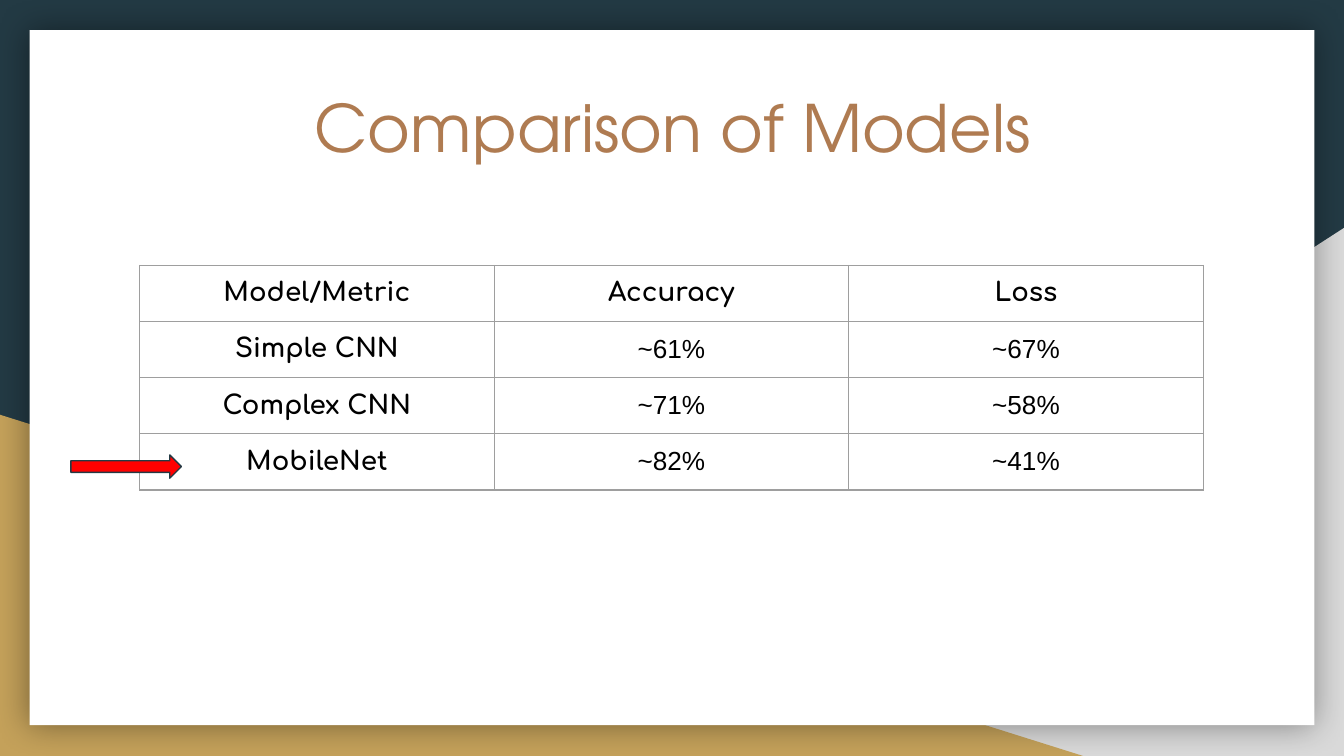
from lxml import etree
from pptx import Presentation
from pptx.dml.color import RGBColor
from pptx.enum.shapes import MSO_SHAPE
from pptx.enum.text import MSO_ANCHOR, PP_ALIGN
from pptx.oxml.ns import qn
from pptx.util import Cm, Pt

RECTANGLE = MSO_SHAPE.RECTANGLE
RIGHT_TRIANGLE = MSO_SHAPE.RIGHT_TRIANGLE
RIGHT_ARROW = MSO_SHAPE.RIGHT_ARROW
TOP = MSO_ANCHOR.TOP
CENTER = PP_ALIGN.CENTER

COLORS = {
    "navy": "233A44",
    "grey": "D9D9D9",
    "gold": "C4A15A",
    "card": "FFFFFF",
    "title": "AF7B51",
    "text": "000000",
    "border": "9E9E9E",
    "highlight": "FF0000",
}
TITLE_FONT = "TeX Gyre Adventor"
LABEL_FONT = "Comfortaa"
VALUE_FONT = "Arial"
TITLE_ONLY_LAYOUT = 5
INSET = Cm(0.25)

SLIDE_WIDTH, SLIDE_HEIGHT = Cm(25.4), Cm(14.29)
GREY_WEDGE_BOX = (Cm(9.96), Cm(4.31), Cm(15.44), Cm(9.98))
GOLD_WEDGE_BOX = (Cm(0), Cm(7.84), Cm(20.47), Cm(6.45))
CARD_BOX = (Cm(0.56), Cm(0.57), Cm(24.28), Cm(13.14))
TITLE_BOX = (Cm(2.29), Cm(1.4), Cm(20.85), Cm(2.64))
TABLE_BOX = (Cm(2.64), Cm(5.02), Cm(20.1), Cm(4.24))
ARROW_BOX = (Cm(1.34), Cm(8.6), Cm(2.09), Cm(0.44))

RESULTS = [
    ("Model/Metric", "Accuracy", "Loss"),
    ("Simple CNN", "~61%", "~67%"),
    ("Complex CNN", "~71%", "~58%"),
    ("MobileNet", "~82%", "~41%"),
]


def rgb(name):
    return RGBColor.from_string(COLORS[name])


def add_filled_shape(slide, preset, box, color):
    shape = slide.shapes.add_shape(preset, *box)
    shape.shadow.inherit = False
    shape.fill.solid()
    shape.fill.fore_color.rgb = rgb(color)
    shape.line.fill.background()
    return shape


def format_paragraph(paragraph, font_name, size, color, bold=False):
    paragraph.alignment = CENTER
    for run in paragraph.runs:
        run.font.name = font_name
        run.font.size = Pt(size)
        run.font.bold = bold
        run.font.color.rgb = rgb(color)


def set_insets(holder):
    holder.margin_left = holder.margin_right = INSET
    holder.margin_top = holder.margin_bottom = INSET


def add_solid_fill(parent, color):
    fill = etree.SubElement(parent, qn("a:solidFill"))
    return etree.SubElement(fill, qn("a:srgbClr"), val=COLORS[color])


def add_backdrop(slide, grey_box, gold_box):
    slide.background.fill.solid()
    slide.background.fill.fore_color.rgb = rgb("navy")
    grey_wedge = add_filled_shape(slide, RIGHT_TRIANGLE, grey_box, "grey")
    grey_wedge._element.spPr.find(qn("a:xfrm")).set("flipH", "1")
    add_filled_shape(slide, RIGHT_TRIANGLE, gold_box, "gold")


def add_card(slide, box):
    card = add_filled_shape(slide, RECTANGLE, box, "card")
    effects = card._element.spPr.find(qn("a:effectLst"))
    glow = etree.SubElement(
        effects, qn("a:outerShdw"), blurRad=str(Pt(18)), dist="0", dir="0",
        algn="ctr", rotWithShape="0",
    )
    shade = etree.SubElement(glow, qn("a:srgbClr"), val=COLORS["text"])
    etree.SubElement(shade, qn("a:alpha"), val="40000")


def place_title(slide, box, wording):
    title = slide.shapes.title
    title.left, title.top, title.width, title.height = box
    frame = title.text_frame
    frame.text = wording
    frame.word_wrap = True
    frame.vertical_anchor = TOP
    set_insets(frame)
    format_paragraph(frame.paragraphs[0], TITLE_FONT, 35, "title")
    slide.shapes._spTree.append(title._element)


def add_cell_borders(cell):
    properties = cell._tc.get_or_add_tcPr()
    for side in ("lnL", "lnR", "lnT", "lnB"):
        border = etree.SubElement(properties, qn(f"a:{side}"), w=str(Pt(0.75)))
        add_solid_fill(border, "border")


def add_results_table(slide, box, results):
    table = slide.shapes.add_table(len(results), len(results[0]), *box).table
    table.first_row = False
    table.horz_banding = False
    for row_index, row in enumerate(results):
        for column_index, wording in enumerate(row):
            cell = table.cell(row_index, column_index)
            cell.text = wording
            cell.vertical_anchor = TOP
            set_insets(cell)
            is_label = row_index == 0 or column_index == 0
            font_name = LABEL_FONT if is_label else VALUE_FONT
            format_paragraph(cell.text_frame.paragraphs[0], font_name, 14, "text", is_label)
            add_cell_borders(cell)
            cell.fill.background()


def add_best_model_arrow(slide, box):
    arrow = add_filled_shape(slide, RIGHT_ARROW, box, "highlight")
    arrow.line.color.rgb = rgb("navy")
    arrow.line.width = Pt(0.75)


def main():
    presentation = Presentation()
    presentation.slide_width = SLIDE_WIDTH
    presentation.slide_height = SLIDE_HEIGHT
    slide = presentation.slides.add_slide(presentation.slide_layouts[TITLE_ONLY_LAYOUT])
    add_backdrop(slide, GREY_WEDGE_BOX, GOLD_WEDGE_BOX)
    add_card(slide, CARD_BOX)
    place_title(slide, TITLE_BOX, "Comparison of Models")
    add_results_table(slide, TABLE_BOX, RESULTS)
    add_best_model_arrow(slide, ARROW_BOX)
    presentation.save("out.pptx")


if __name__ == "__main__":
    main()
